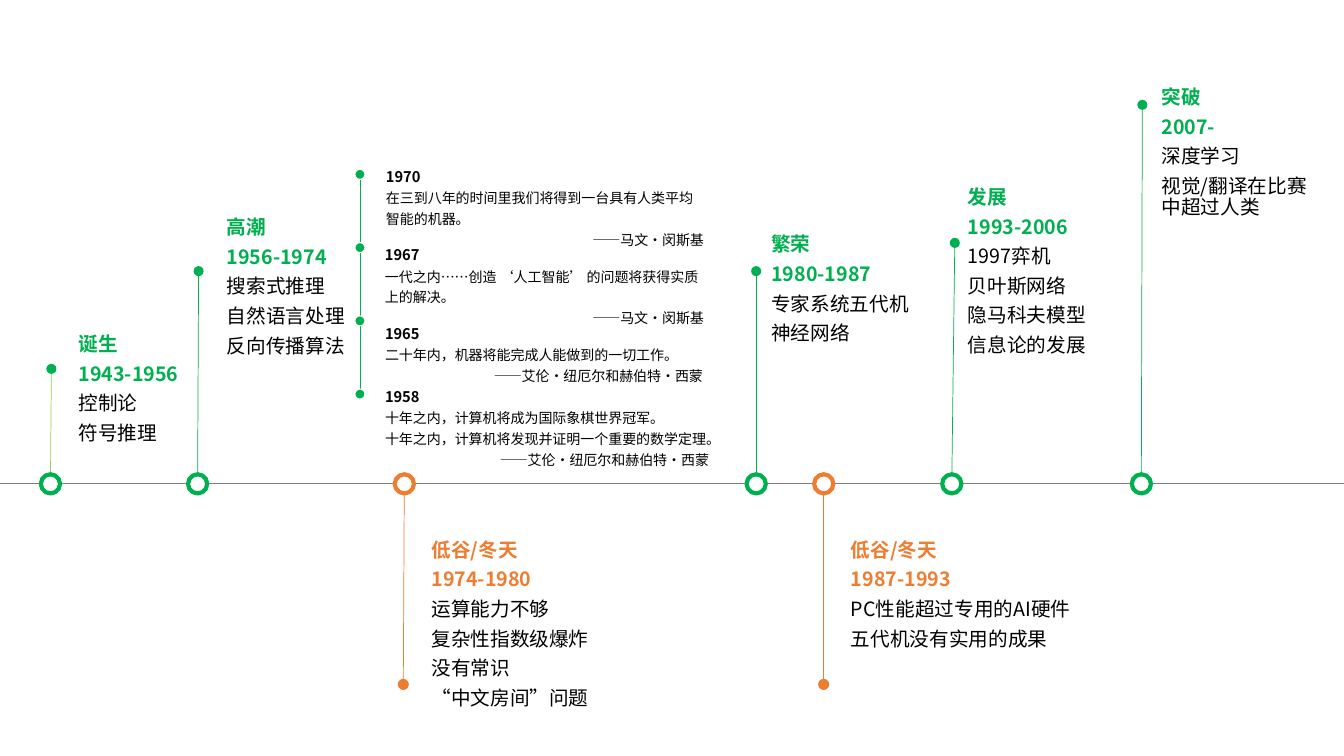
import pptx
import pptx.dml.color
import pptx.enum.shapes
import pptx.enum.text
import pptx.oxml.ns
import pptx.util
from lxml import etree

Inches = pptx.util.Inches
Pt = pptx.util.Pt
RGBColor = pptx.dml.color.RGBColor
ALIGN = pptx.enum.text.PP_ALIGN
SHAPE = pptx.enum.shapes.MSO_SHAPE

GREEN = RGBColor(0x00, 0xB0, 0x50)
LIME = RGBColor(0x92, 0xD0, 0x50)
ORANGE = RGBColor(0xED, 0x7D, 0x31)
GRAY = RGBColor(0x80, 0x80, 0x80)
BLACK = RGBColor(0, 0, 0)
WHITE = RGBColor(0xFF, 0xFF, 0xFF)
FONT = "Noto Sans CJK SC"

SLIDE_WIDTH = 13.33
AXIS_Y = 4.8
RING_SIZE = 0.19
DOT_SIZE = 0.1

MILESTONES = [
    (0.5, (0.51, 3.66), (0.58, 3.16, 1.5, 1.72), GREEN, LIME,
     ["诞生", "1943-1956", "控制论", "符号推理"]),
    (1.96, (1.97, 2.69), (2.05, 2, 1.7, 1.72), GREEN, GREEN,
     ["高潮", "1956-1974", "搜索式推理", "自然语言处理", "反向传播算法"]),
    (4.01, (4, 6.79), (4.08, 5.2, 2.03, 2.02), ORANGE, ORANGE,
     ["低谷/冬天", "1974-1980", "运算能力不够", "复杂性指数级爆炸", "没有常识", "“中文房间”问题"]),
    (7.5, (7.5, 2.69), (7.45, 2.17, 2.29, 1.42), GREEN, GREEN,
     ["繁荣", "1980-1987", "专家系统五代机", "神经网络"]),
    (8.17, (8.17, 6.79), (8.24, 5.2, 2.68, 1.42), ORANGE, ORANGE,
     ["低谷/冬天", "1987-1993", "PC性能超过专用的AI硬件", "五代机没有实用的成果"]),
    (9.44, (9.47, 2.41), (9.4, 1.7, 2.07, 2.02), GREEN, GREEN,
     ["发展", "1993-2006", "1997弈机", "贝叶斯网络", "隐马科夫模型", "信息论的发展"]),
    (11.32, (11.33, 1.04), (11.32, 0.71, 1.89, 1.64), GREEN, GREEN,
     ["突破", "2007-", "深度学习", "视觉/翻译在比赛中超过人类"]),
]

MINSKY = "——马文·闵斯基"
NEWELL_SIMON = "——艾伦·纽厄尔和赫伯特·西蒙"
PREDICTIONS = [
    ((3.73, 1.58, 3.35, 0.92),
     ["1970", "在三到八年的时间里我们将得到一台具有人类平均智能的机器。", MINSKY]),
    ((3.72, 2.36, 3.36, 0.92),
     ["1967", "一代之内……创造 ‘人工智能’ 的问题将获得实质上的解决。", MINSKY]),
    ((3.72, 3.14, 3.35, 0.71),
     ["1965", "二十年内，机器将能完成人能做到的一切工作。", NEWELL_SIMON]),
    ((3.72, 3.76, 3.41, 0.92),
     ["1958", "十年之内，计算机将成为国际象棋世界冠军。",
      "十年之内，计算机将发现并证明一个重要的数学定理。", NEWELL_SIMON]),
]


def add_line(slide, start, end, color):
    connector = slide.shapes.add_connector(
        pptx.enum.shapes.MSO_CONNECTOR.STRAIGHT,
        *[Inches(value) for value in (*start, *end)])
    connector.line.color.rgb = color
    connector.line.width = Pt(0.5)
    etree.SubElement(connector._element.spPr, pptx.oxml.ns.qn("a:effectLst"))


def add_circle(slide, center, size, fill, outline=None, width=0.75):
    x, y = center
    circle = slide.shapes.add_shape(
        SHAPE.OVAL, Inches(x - size / 2), Inches(y - size / 2), Inches(size), Inches(size))
    circle.shadow.inherit = False
    circle.fill.solid()
    circle.fill.fore_color.rgb = fill
    if outline is None:
        circle.line.fill.background()
    else:
        circle.line.color.rgb = outline
        circle.line.width = Pt(width)


def add_text_box(slide, box, lines, margins=(0.1, 0.05)):
    frame = slide.shapes.add_textbox(*[Inches(value) for value in box]).text_frame
    frame.word_wrap = True
    frame.margin_left = frame.margin_right = Inches(margins[0])
    frame.margin_top = frame.margin_bottom = Inches(margins[1])
    frame.text = "\n".join(lines)
    return frame.paragraphs


def format_font(paragraph, size, color, bold):
    font = paragraph.font
    font.name = FONT
    font.size = Pt(size)
    font.bold = bold
    font.color.rgb = color
    east_asian = etree.SubElement(font._element, pptx.oxml.ns.qn("a:ea"))
    east_asian.set("typeface", FONT)


def add_milestone(slide, axis_x, tip, box, color, stem_color, lines):
    add_line(slide, tip, (axis_x, AXIS_Y), stem_color)
    add_circle(slide, tip, DOT_SIZE, color, color if color == ORANGE else None)
    add_circle(slide, (axis_x, AXIS_Y), RING_SIZE, WHITE, color, 3)
    for index, paragraph in enumerate(add_text_box(slide, box, lines, (0.2, 0.16))):
        heading = index < 2
        format_font(paragraph, 14, color if heading else BLACK, heading)
        paragraph.line_spacing = 0.9
        paragraph.space_after = Pt(6)


def add_predictions(slide, x, top, bottom):
    add_line(slide, (x, top), (x, bottom), GREEN)
    step = (bottom - top) / (len(PREDICTIONS) - 1)
    for index, (box, lines) in enumerate(PREDICTIONS):
        add_circle(slide, (x, top + index * step), DOT_SIZE, GREEN, WHITE)
        paragraphs = add_text_box(slide, box, lines)
        for position, paragraph in enumerate(paragraphs):
            year = position == 0
            format_font(paragraph, 10.5 if year else 10, BLACK, year)
            paragraph.line_spacing = Pt(15)
        paragraphs[-1].alignment = ALIGN.RIGHT


def add_background(slide, left, top, width, height):
    panel = slide.shapes.add_shape(
        SHAPE.RECTANGLE, Inches(left), Inches(top), Inches(width), Inches(height))
    panel.shadow.inherit = False
    panel.fill.solid()
    panel.fill.fore_color.rgb = WHITE
    panel.line.color.rgb = WHITE
    panel.line.width = Pt(1)


def build_timeline(slide):
    add_background(slide, 0, 0.59, SLIDE_WIDTH, 6.75)
    add_predictions(slide, 3.57, 1.73, 3.91)
    add_line(slide, (0, AXIS_Y), (SLIDE_WIDTH, AXIS_Y), GRAY)
    for milestone in MILESTONES:
        add_milestone(slide, *milestone)


presentation = pptx.Presentation()
presentation.slide_width = Inches(SLIDE_WIDTH)
presentation.slide_height = Inches(7.5)
build_timeline(presentation.slides.add_slide(presentation.slide_layouts[6]))
presentation.save("out.pptx")
